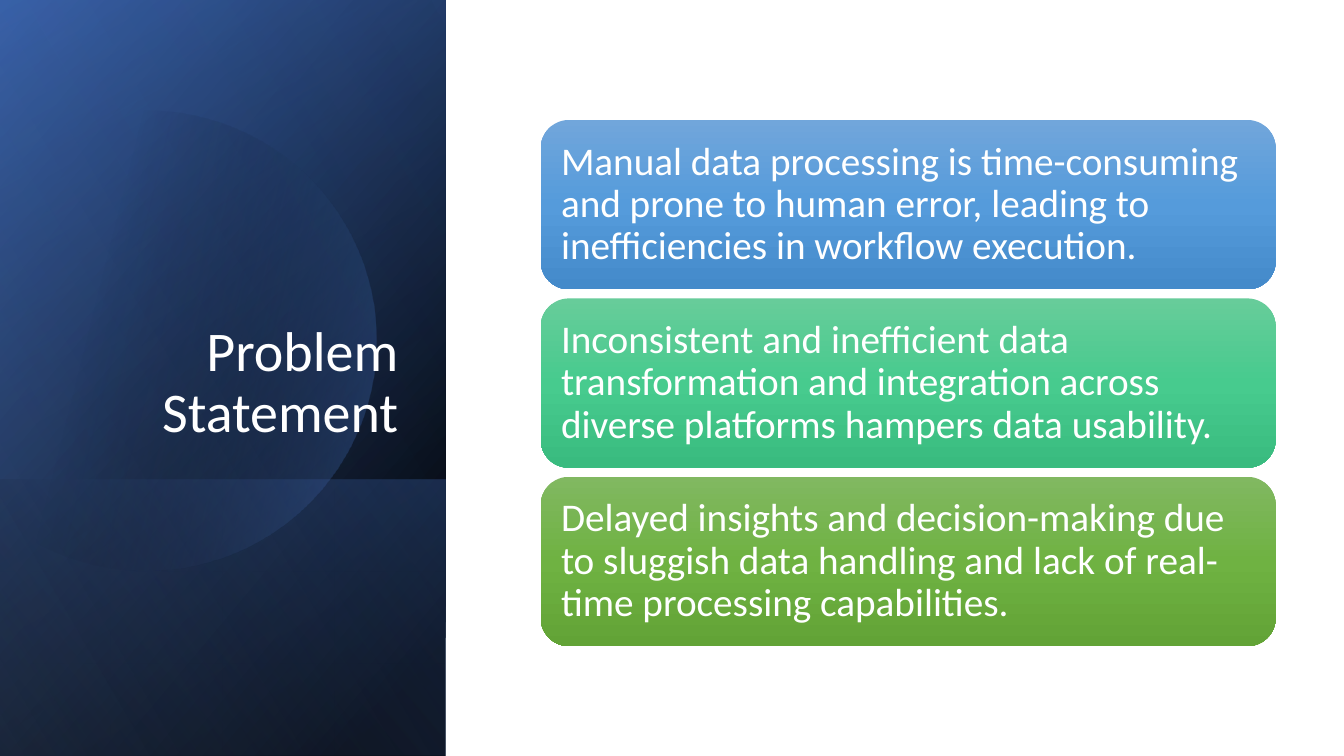
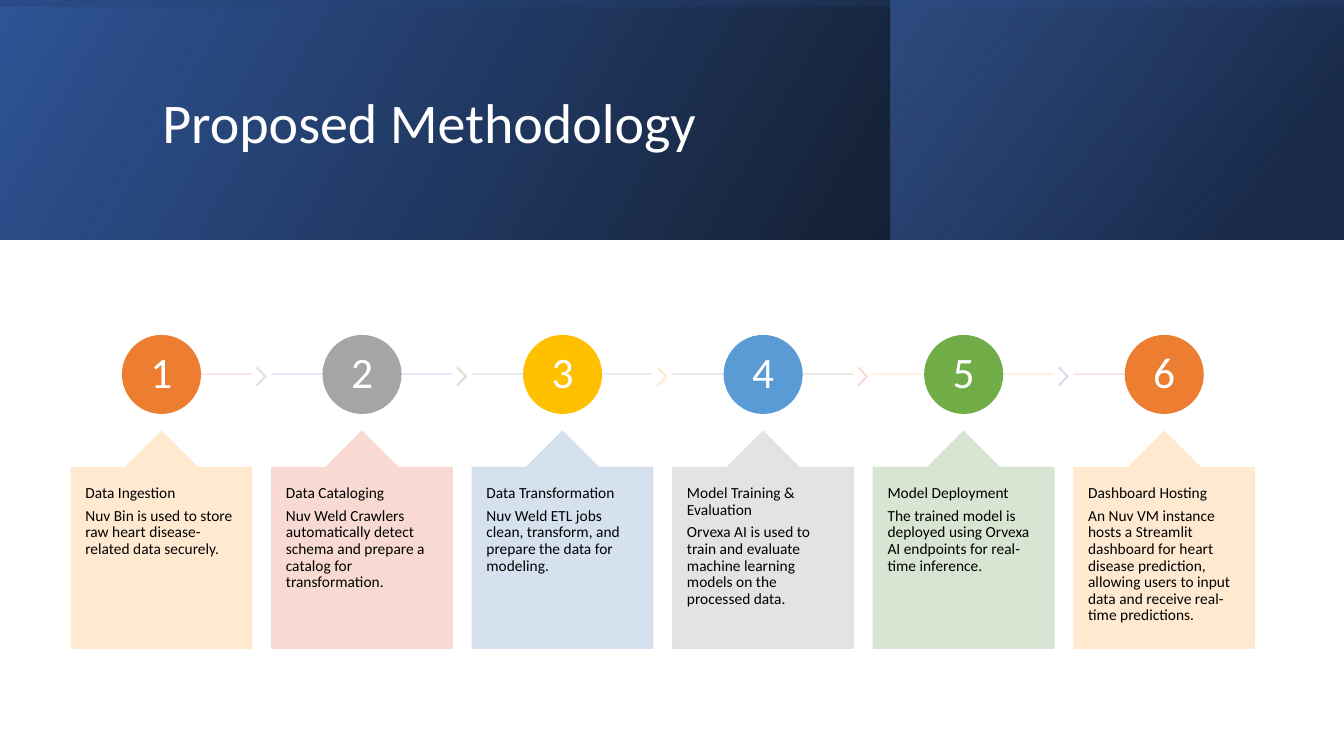
from math import acos, cos, pi, sin

from lxml.etree import SubElement
from pptx import Presentation
from pptx.dml.color import RGBColor
from pptx.enum.shapes import MSO_CONNECTOR, MSO_SHAPE
from pptx.enum.text import MSO_ANCHOR, PP_ALIGN
from pptx.oxml import parse_xml
from pptx.oxml.ns import nsdecls, qn
from pptx.util import Inches, Pt

WIDTH, HEIGHT = Inches(13.333), Inches(7.5)
FONT = "Calibri"
COLORS = {
    "white": "FFFFFF", "black": "000000",
    "navy": "2F5597", "deep": "203864", "blue": "4472C4", "pale": "8FAADC",
}
CARD_COLORS = [
    ("71A6DB", "559BDB", "448ACA"),
    ("67CC9A", "47CB8E", "39BB7F"),
    ("81B861", "6FB242", "62A336"),
]
ACCENTS = ["ED7D31", "A5A5A5", "FFC000", "5B9BD5", "70AD47"]
TINTS = ["FFE8CC", "F8D7CE", "D2DEEF", "E1E1E1", "D5E3CF"]

PROBLEMS = [
    "Manual data processing is time-consuming and prone to human error, "
    "leading to inefficiencies in workflow execution.",
    "Inconsistent and inefficient data transformation and integration across "
    "diverse platforms hampers data usability.",
    "Delayed insights and decision-making due to sluggish data handling and "
    "lack of real-time processing capabilities.",
]
STEPS = [
    ("Data Ingestion",
     "Nuv Bin is used to store raw heart disease-related data securely."),
    ("Data Cataloging",
     "Nuv Weld Crawlers automatically detect schema and prepare a catalog "
     "for transformation."),
    ("Data Transformation",
     "Nuv Weld ETL jobs clean, transform, and prepare the data for modeling."),
    ("Model Training & Evaluation",
     "Orvexa AI is used to train and evaluate machine learning models on the "
     "processed data."),
    ("Model Deployment",
     "The trained model is deployed using Orvexa AI endpoints for real-time "
     "inference."),
    ("Dashboard Hosting",
     "An Nuv VM instance hosts a Streamlit dashboard for heart disease "
     "prediction, allowing users to input data and receive real-time "
     "predictions."),
]


def place(left, top, width, height):
    """Turn percentages of the slide into lengths."""
    return (int(WIDTH * left / 100), int(HEIGHT * top / 100),
            int(WIDTH * width / 100), int(HEIGHT * height / 100))


def fill_gradient(shape, stops, angle):
    """Fill with (position, colour, opacity) stops, all in percent."""
    marks = "".join(
        f'<a:gs pos="{position * 1000}"><a:srgbClr val="{color}">'
        f'<a:alpha val="{opacity * 1000}"/></a:srgbClr></a:gs>'
        for position, color, opacity in stops)
    gradient = parse_xml(
        f'<a:gradFill {nsdecls("a")} rotWithShape="1"><a:gsLst>{marks}</a:gsLst>'
        f'<a:lin ang="{angle * 60000}" scaled="0"/></a:gradFill>')
    shape.fill.gradient()
    properties = shape.element.spPr
    properties.replace(properties.find(qn("a:gradFill")), gradient)
    shape.line.fill.background()
    shape.shadow.inherit = False


def set_opacity(shape, percent):
    for color in shape.element.spPr.iter(qn("a:srgbClr")):
        SubElement(color, qn("a:alpha")).set("val", str(percent * 1000))


def add_solid(slide, kind, box, color, opacity=100):
    shape = slide.shapes.add_shape(kind, *place(*box))
    shape.shadow.inherit = False
    shape.fill.solid()
    shape.fill.fore_color.rgb = RGBColor.from_string(color)
    shape.line.color.rgb = RGBColor.from_string(color)
    shape.line.width = Pt(1)
    if opacity < 100:
        set_opacity(shape, opacity)
    return shape


def add_panel(slide, box, stops, angle, turn=0):
    """Add a mirrored gradient panel that covers the box after its turn."""
    left, top, width, height = place(*box)
    if turn % 180:
        left, top = left + (width - height) // 2, top + (height - width) // 2
        width, height = height, width
    panel = slide.shapes.add_shape(MSO_SHAPE.RECTANGLE, left, top, width, height)
    panel.rotation = turn
    panel.element.spPr.get_or_add_xfrm().set("flipH", "1")
    fill_gradient(panel, stops, angle)


def add_disc(slide, center_x, center_y, radius, stops, angle):
    """Add a disc cut off by the left edge of the slide."""
    reach = acos(-center_x / radius)
    count = 90
    turns = [reach * (2 * index / count - 1) for index in range(count + 1)]
    points = [(Inches(max(0, center_x + radius * cos(turn))),
               Inches(center_y + radius * sin(turn))) for turn in turns]
    builder = slide.shapes.build_freeform(*points[0], scale=1.0)
    builder.add_line_segments(points[1:], close=True)
    fill_gradient(builder.convert_to_shape(), stops, angle)


def write(shape, texts, size, color, anchor, align=PP_ALIGN.LEFT, insets=None):
    frame = shape.text_frame
    frame.word_wrap = True
    frame.vertical_anchor = anchor
    if insets:
        frame.margin_left = frame.margin_right = Inches(insets[0])
        frame.margin_top = frame.margin_bottom = Inches(insets[1])
    for index, text in enumerate(texts):
        paragraph = frame.add_paragraph() if index else frame.paragraphs[0]
        paragraph.text = text
        paragraph.alignment = align
        paragraph.line_spacing = 0.9
        if index < len(texts) - 1:
            paragraph.space_after = Pt(4)
        paragraph.font.name = FONT
        paragraph.font.size = Pt(size)
        paragraph.font.color.rgb = RGBColor.from_string(color)


def set_title(slide, text, box, anchor, align=PP_ALIGN.LEFT):
    title = slide.shapes.title
    title.left, title.top, title.width, title.height = place(*box)
    write(title, [text], 40, COLORS["white"], anchor, align)
    # Bring the title in front of the panels
    title.element.getparent().append(title.element)


def add_card(slide, box, text, colors):
    card = slide.shapes.add_shape(MSO_SHAPE.ROUNDED_RECTANGLE, *place(*box))
    fill_gradient(card, [(50 * index, color, 100)
                         for index, color in enumerate(colors)], 90)
    write(card, [text], 28, COLORS["white"], MSO_ANCHOR.MIDDLE,
          insets=(0.12, 0.12))


def add_rule(slide, left, right, color):
    x, y, length, _ = place(left, 49.47, right - left, 0)
    rule = slide.shapes.add_connector(
        MSO_CONNECTOR.STRAIGHT, x, y, x + length, y)
    rule.line.color.rgb = RGBColor.from_string(color)
    rule.line.width = Pt(1)
    set_opacity(rule, 90)
    SubElement(rule.element.spPr, qn("a:effectLst"))


def add_step(slide, index, left, width):
    """Add one column: rule, chevron, numbered circle and callout."""
    middle = left + width / 2
    is_first, is_last = index == 0, index == len(STEPS) - 1
    callout_color, rule_color, chevron_color = (
        TINTS[(index + shift) % len(TINTS)] for shift in (0, 1, 3))

    add_rule(slide, middle if is_first else left,
             middle if is_last else left + width, rule_color)
    if not is_last:
        chevron = add_solid(slide, MSO_SHAPE.CHEVRON,
                            (left + width + 0.37, 48.67, 0.68, 2.27),
                            chevron_color, 90)
        chevron.adjustments[0] = 0.9

    circle = add_solid(slide, MSO_SHAPE.OVAL, (middle - 2.89, 44.4, 5.78, 10.27),
                       ACCENTS[index % len(ACCENTS)])
    write(circle, [str(index + 1)], 31, COLORS["white"], MSO_ANCHOR.MIDDLE,
          PP_ALIGN.CENTER, (0.03, 0.03))

    callout = add_solid(slide, MSO_SHAPE.UP_ARROW_CALLOUT,
                        (left, 57.07, width, 28.67), callout_color, 90)
    for position, value in enumerate((0.5, 0.2, 0.2, 1)):
        callout.adjustments[position] = value
    write(callout, STEPS[index], 11, COLORS["black"], MSO_ANCHOR.TOP,
          insets=(0.14, 0.18))


def add_problem_slide(presentation):
    slide = presentation.slides.add_slide(presentation.slide_layouts[5])
    black, blue = COLORS["black"], COLORS["blue"]
    sidebar = (0, 0, 33.16, 100)

    # Sidebar
    add_panel(slide, sidebar, [(8, black, 100), (100, COLORS["navy"], 100)], 50, 90)
    add_panel(slide, sidebar, [(0, black, 0), (99, blue, 46)], 30, 90)
    add_panel(slide, (0, 63.47, 33.16, 36.53),
              [(2, blue, 29), (100, black, 30)], 130, 90)
    add_disc(slide, 1.45, 3.38, 2.28, [(29, black, 0), (100, blue, 43)], 14)
    add_panel(slide, sidebar, [(0, black, 0), (99, COLORS["pale"], 11)], 120, 90)
    set_title(slide, "Problem Statement", (4.8, 24.53, 25.58, 34.93),
              MSO_ANCHOR.BOTTOM, PP_ALIGN.RIGHT)

    # Cards
    for row, (text, colors) in enumerate(zip(PROBLEMS, CARD_COLORS)):
        add_card(slide, (40.23, 15.87 + 23.6 * row, 54.69, 22.4), text, colors)


def add_method_slide(presentation):
    slide = presentation.slides.add_slide(presentation.slide_layouts[5])
    black, navy = COLORS["black"], COLORS["navy"]
    band = (0, 0, 100, 31.65)

    # Header band
    add_panel(slide, band, [(0, black, 96), (100, navy, 100)], 330)
    add_panel(slide, (66.25, 0, 33.75, 31.65),
              [(19, COLORS["deep"], 68), (100, COLORS["blue"], 48)], 320)
    add_panel(slide, band, [(23, navy, 16), (99, black, 45)], 350, 270)
    set_title(slide, "Proposed Methodology", (11.33, 5.07, 79.74, 22.93),
              MSO_ANCHOR.MIDDLE)

    # Steps in equal columns, with gaps of a ninth of a column
    width = 13.43
    for index in range(len(STEPS)):
        add_step(slide, index, 5.3 + index * width * 10 / 9, width)


def main():
    presentation = Presentation()
    presentation.slide_width, presentation.slide_height = WIDTH, HEIGHT
    add_problem_slide(presentation)
    add_method_slide(presentation)
    presentation.save("out.pptx")


if __name__ == "__main__":
    main()
